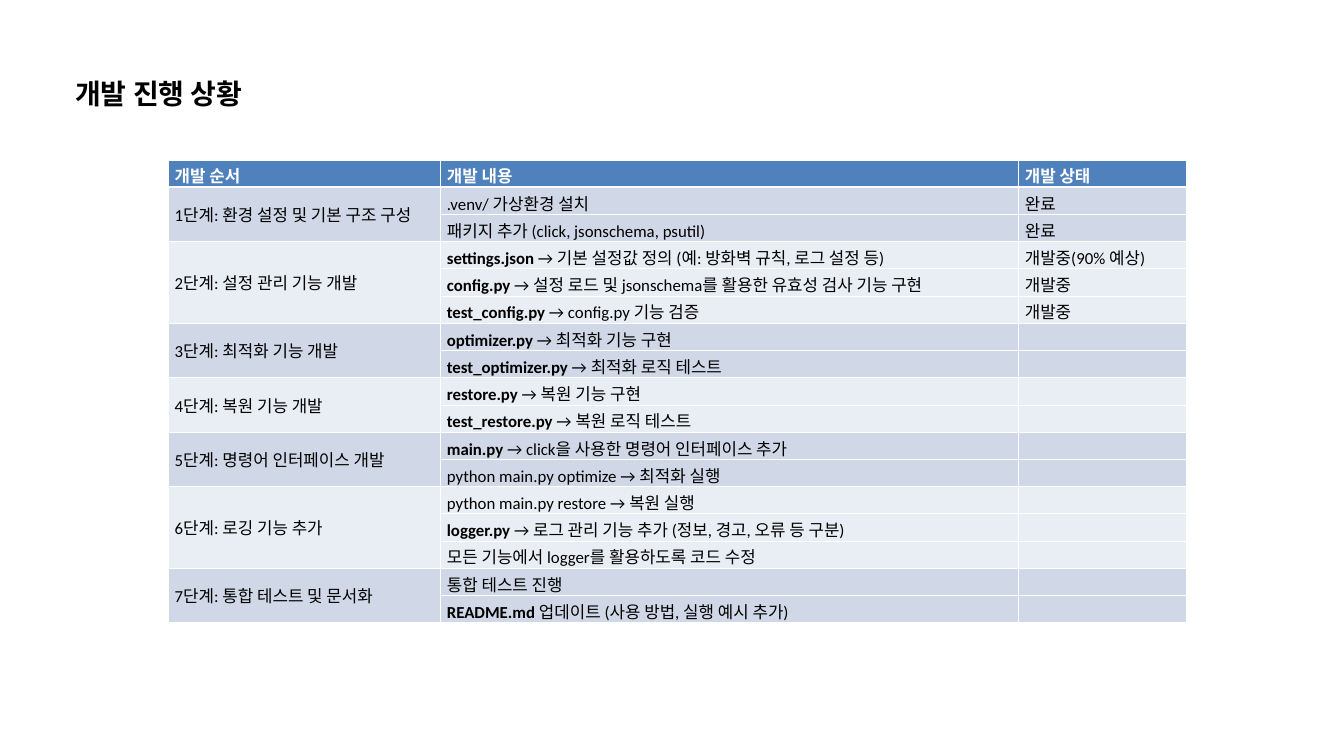
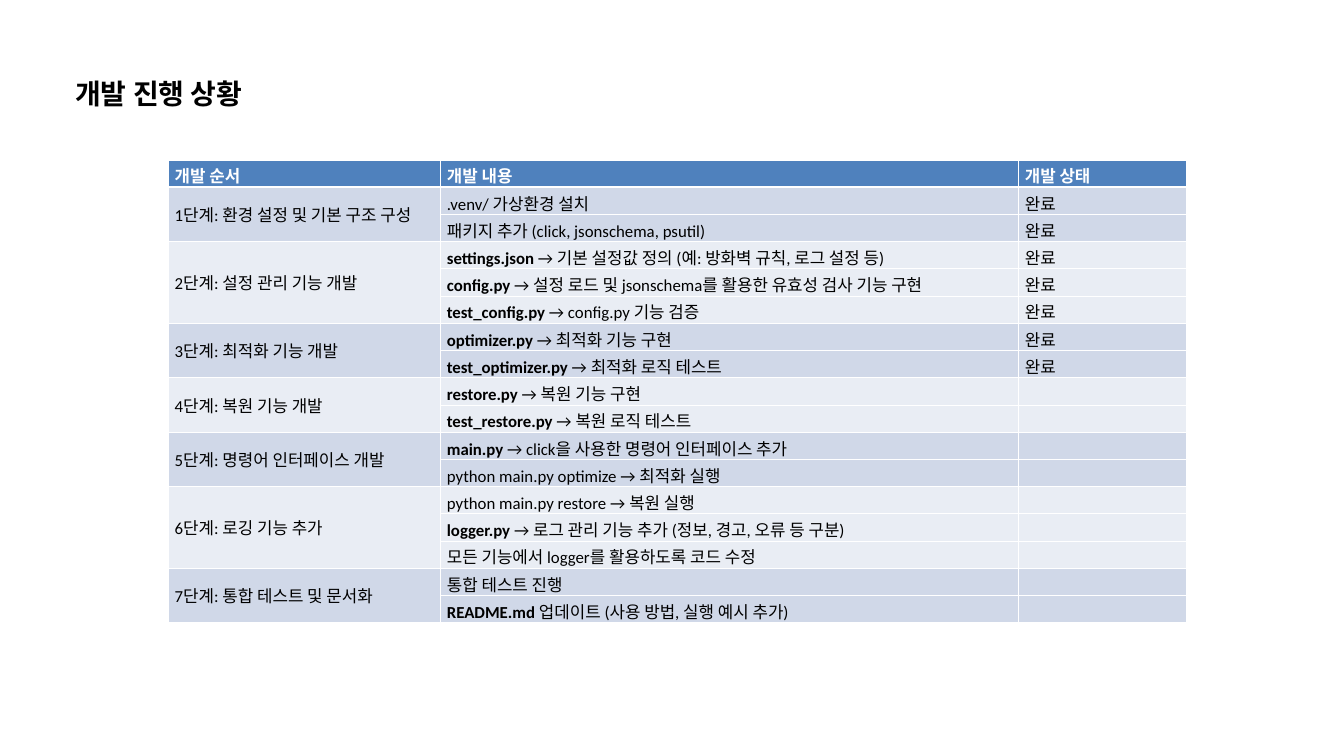
from itertools import chain

from lxml.etree import SubElement
from pptx import Presentation
from pptx.dml.color import RGBColor
from pptx.enum.text import MSO_ANCHOR, MSO_AUTO_SIZE, PP_ALIGN
from pptx.oxml.ns import qn
from pptx.util import Inches, Pt

BLACK = RGBColor(0x00, 0x00, 0x00)
WHITE = RGBColor(0xFF, 0xFF, 0xFF)
BLUE = RGBColor(0x4F, 0x81, 0xBD)
BANDS = RGBColor(0xD0, 0xD8, 0xE8), RGBColor(0xE9, 0xED, 0xF4)

TITLE = {"name": "Inter", "size": Pt(30), "bold": True, "color": BLACK}
HEAD = {"name": "Calibri", "size": Pt(18), "bold": True, "color": WHITE}
BODY = HEAD | {"bold": False, "color": BLACK}
CODE = BODY | {"bold": True}

TITLE_BOX = Inches(1.12), Inches(1.06), Inches(4.01), Inches(0.54)
TABLE_BOX = Inches(2.5), Inches(2.38), Inches(15.15), Inches(6.89)
WIDTHS = Inches(4.05), Inches(8.6), Inches(2.5)

HEADS = "개발 순서", "개발 내용", "개발 상태"
STEPS = [
    ("1단계: 환경 설정 및 기본 구조 구성", [
        ("", ".venv/ 가상환경 설치"),
        ("", "패키지 추가 (click, jsonschema, psutil)")]),
    ("2단계: 설정 관리 기능 개발", [
        ("settings.json", " → 기본 설정값 정의 (예: 방화벽 규칙, 로그 설정 등)"),
        ("config.py", " → 설정 로드 및 jsonschema를 활용한 유효성 검사 기능 구현"),
        ("test_config.py", " → config.py 기능 검증")]),
    ("3단계: 최적화 기능 개발", [
        ("optimizer.py", " → 최적화 기능 구현"),
        ("test_optimizer.py", " → 최적화 로직 테스트")]),
    ("4단계: 복원 기능 개발", [
        ("restore.py", " → 복원 기능 구현"),
        ("test_restore.py", " → 복원 로직 테스트")]),
    ("5단계: 명령어 인터페이스 개발", [
        ("main.py", " → click을 사용한 명령어 인터페이스 추가"),
        ("", "python main.py optimize → 최적화 실행")]),
    ("6단계: 로깅 기능 추가", [
        ("", "python main.py restore → 복원 실행"),
        ("logger.py", " → 로그 관리 기능 추가 (정보, 경고, 오류 등 구분)"),
        ("", "모든 기능에서 logger를 활용하도록 코드 수정")]),
    ("7단계: 통합 테스트 및 문서화", [
        ("", "통합 테스트 진행"),
        ("README.md", " 업데이트 (사용 방법, 실행 예시 추가)")]),
]
DONE = "완료"
DOING = "개발중"
STATES = [
    [DONE] * 2 + [DOING + "(90% 예상)"] + [DOING] * 2,
    [DONE] * 7,
]


def put(para, text, look):
    if not text:
        return
    run = para.add_run()
    run.text = text
    for key, value in look.items():
        if key == "color":
            run.font.color.rgb = value
        else:
            setattr(run.font, key, value)


def paint(cell, fill, top=1, bottom=1):
    props = cell._tc.get_or_add_tcPr()
    for side, width in {"L": 1, "R": 1, "T": top, "B": bottom}.items():
        line = SubElement(props, qn("a:ln" + side), w=str(Pt(width)))
        solid = SubElement(line, qn("a:solidFill"))
        SubElement(solid, qn("a:srgbClr"), val=str(WHITE))
    cell.fill.solid()
    cell.fill.fore_color.rgb = fill


def add_title(slide, box, text):
    title = slide.shapes.title
    title.left, title.top, title.width, title.height = box
    frame = title.text_frame
    look = {"margin_left": 0, "margin_top": 0, "margin_right": 0,
            "margin_bottom": 0, "word_wrap": True,
            "vertical_anchor": MSO_ANCHOR.TOP,
            "auto_size": MSO_AUTO_SIZE.SHAPE_TO_FIT_TEXT}
    for key, value in look.items():
        setattr(frame, key, value)
    para = frame.paragraphs[0]
    para.alignment = PP_ALIGN.LEFT
    para.line_spacing = Pt(42)
    put(para, text, TITLE)


def add_plan(slide, box, states):
    tasks = list(chain.from_iterable(items for _, items in STEPS))
    count = len(tasks) + 1
    table = slide.shapes.add_table(count, len(HEADS), *box).table
    table.horz_banding = False
    for col, width in zip(table.columns, WIDTHS):
        col.width = width
    for row in table.rows:
        row.height = box[3] // count

    for col, text in enumerate(HEADS):
        cell = table.cell(0, col)
        paint(cell, BLUE, bottom=3)
        put(cell.text_frame.paragraphs[0], text, HEAD)

    first = 1
    for step, (name, items) in enumerate(STEPS):
        last = first + len(items) - 1
        for row in range(first, last + 1):
            for col in range(len(HEADS)):
                paint(table.cell(row, col), BANDS[step % 2],
                      top=3 if row == 1 else 1)
        label = table.cell(first, 0)
        label.merge(table.cell(last, 0))
        label.vertical_anchor = MSO_ANCHOR.MIDDLE
        put(label.text_frame.paragraphs[0], name, BODY)
        first = last + 1

    for row, (code, text) in enumerate(tasks, 1):
        para = table.cell(row, 1).text_frame.paragraphs[0]
        put(para, code, CODE)
        put(para, text, BODY)
    for row, state in enumerate(states, 1):
        put(table.cell(row, 2).text_frame.paragraphs[0], state, BODY)


def add_status(deck, states):
    slide = deck.slides.add_slide(deck.slide_layouts[5])
    add_title(slide, TITLE_BOX, "개발 진행 상황")
    add_plan(slide, TABLE_BOX, states)


def main():
    deck = Presentation()
    deck.slide_width, deck.slide_height = Inches(20), Inches(11.25)
    for states in STATES:
        add_status(deck, states)
    deck.save("out.pptx")


if __name__ == "__main__":
    main()
